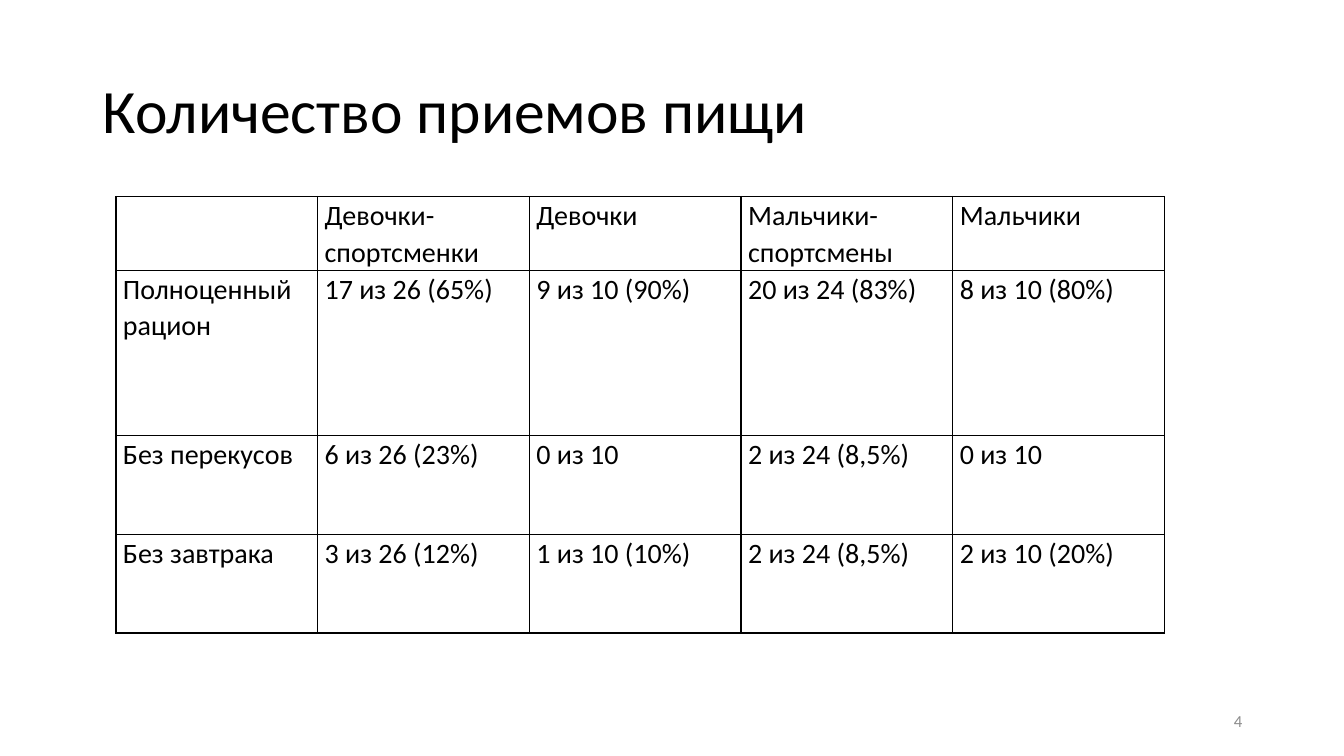
from lxml import etree
from pptx import Presentation
from pptx.dml.color import RGBColor
from pptx.enum.text import MSO_ANCHOR, PP_ALIGN
from pptx.oxml.ns import qn
from pptx.util import Pt

PX = 9144  # 100 px to the inch
LEFT, RIGHT, JUSTIFY = PP_ALIGN.LEFT, PP_ALIGN.RIGHT, PP_ALIGN.JUSTIFY
MIDDLE = MSO_ANCHOR.MIDDLE
TITLE_ONLY = 5
FONT = "Calibri"
COLORS = {"text": "000000", "border": "000000", "number": "8C8C8C"}

COLUMN_WIDTHS = [200, 210, 210, 210, 210]
ROW_HEIGHTS = [73, 164, 98, 98]
MEALS = [
    ["", "Девочки-спортсменки", "Девочки", "Мальчики-спортсмены", "Мальчики"],
    ["Полноценный рацион", "17 из 26 (65%)", "9 из 10 (90%)", "20 из 24 (83%)", "8 из 10 (80%)"],
    ["Без перекусов", "6 из 26 (23%)", "0 из 10", "2 из 24 (8,5%)", "0 из 10"],
    ["Без завтрака", "3 из 26 (12%)", "1 из 10 (10%)", "2 из 24 (8,5%)", "2 из 10 (20%)"],
]


def px(*lengths):
    return [n * PX for n in lengths]


def format_paragraph(p, size, color, align, spacing=1.0):
    p.alignment = align
    p.line_spacing = spacing
    p.font.name = FONT
    p.font.size = Pt(size)
    p.font.color.rgb = RGBColor.from_string(COLORS[color])


def set_title(slide, text, box):
    sp = slide.shapes.title
    sp.left, sp.top, sp.width, sp.height = px(*box)
    tf = sp.text_frame
    tf.text = text
    tf.vertical_anchor = MIDDLE
    format_paragraph(tf.paragraphs[0], 44, "text", LEFT, 0.9)


def add_slide_number(slide, number, box):
    tf = slide.shapes.add_textbox(*px(*box)).text_frame
    tf.word_wrap = True
    tf.vertical_anchor = MIDDLE
    tf.text = number
    format_paragraph(tf.paragraphs[0], 12, "number", RIGHT)


def set_borders(cell, width):
    """Line all four sides; called before the fill, which must follow the lines."""
    tcPr = cell._tc.get_or_add_tcPr()
    for side in ("lnL", "lnR", "lnT", "lnB"):
        ln = etree.SubElement(tcPr, qn(f"a:{side}"), w=str(Pt(width)))
        fill = etree.SubElement(ln, qn("a:solidFill"))
        etree.SubElement(fill, qn("a:srgbClr"), val=COLORS["border"])


def format_cell(cell, text):
    cell.margin_left, cell.margin_right = px(7, 7)
    cell.margin_top = cell.margin_bottom = 0
    set_borders(cell, 1)
    cell.fill.background()
    cell.text = text
    p = cell.text_frame.paragraphs[0]
    format_paragraph(p, 20, "text", JUSTIFY, 1.07)
    p.space_after = Pt(8)


def add_meal_table(slide, left, top):
    box = px(left, top, sum(COLUMN_WIDTHS), sum(ROW_HEIGHTS))
    table = slide.shapes.add_table(len(MEALS), len(MEALS[0]), *box).table
    table.first_row = table.horz_banding = False
    for column, width in zip(table.columns, px(*COLUMN_WIDTHS)):
        column.width = width
    for row, height, texts in zip(table.rows, px(*ROW_HEIGHTS), MEALS):
        row.height = height
        for cell, text in zip(row.cells, texts):
            format_cell(cell, text)


def main():
    prs = Presentation()
    prs.slide_width, prs.slide_height = px(1333, 750)
    slide = prs.slides.add_slide(prs.slide_layouts[TITLE_ONLY])
    set_title(slide, "Количество приемов пищи", (92, 40, 1150, 145))
    add_meal_table(slide, 115, 195)
    add_slide_number(slide, "4", (942, 695, 300, 40))
    prs.save("out.pptx")


if __name__ == "__main__":
    main()
